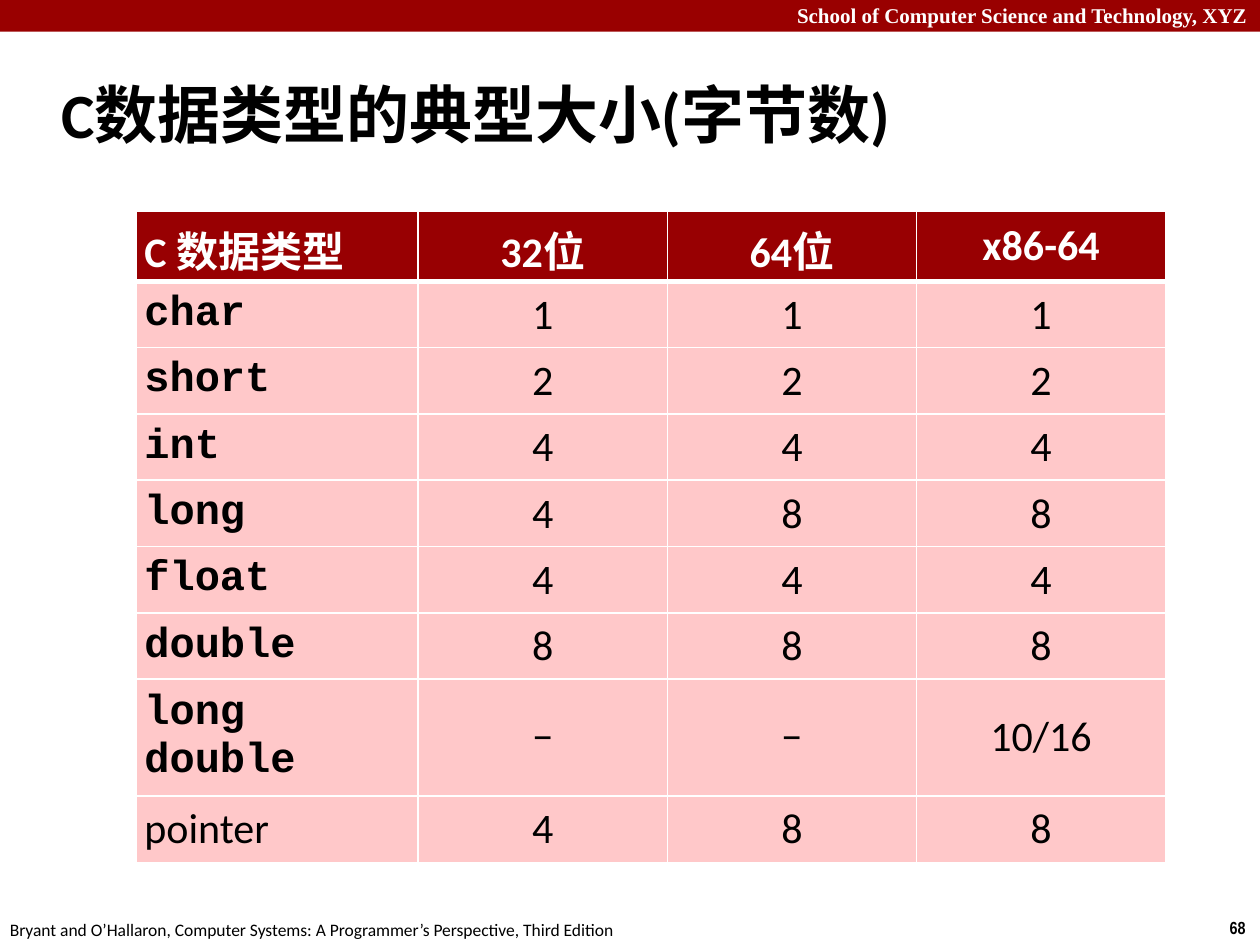
import pptx
import pptx.dml.color
import pptx.enum.shapes
import pptx.enum.text
import pptx.oxml
import pptx.oxml.ns
import pptx.util

Cm, Pt = pptx.util.Cm, pptx.util.Pt
ALIGN = pptx.enum.text.PP_ALIGN
MIDDLE = pptx.enum.text.MSO_ANCHOR.MIDDLE

WHITE, BLACK, RED, DARK_RED, PINK = "FFFFFF", "000000", "990000", "980002", "FFC8C9"

HEADER = ["C 数据类型", "32位", "64位", "x86-64"]
SIZES = [
    ["char", "1", "1", "1"],
    ["short", "2", "2", "2"],
    ["int", "4", "4", "4"],
    ["long", "4", "8", "8"],
    ["float", "4", "4", "4"],
    ["double", "8", "8", "8"],
    ["long double", "−", "−", "10/16"],
    ["pointer", "4", "8", "8"],
]


def rgb(color):
    return pptx.dml.color.RGBColor.from_string(color)


def write(tf, text, size, color=BLACK, align=ALIGN.LEFT, **font):
    p = tf.paragraphs[0]
    p.alignment = align
    r = p.add_run()
    r.text = text
    r.font.color.rgb = rgb(color)
    for name, value in {"name": "Calibri", "size": Pt(size), "bold": False, **font}.items():
        setattr(r.font, name, value)
    return p


def add_text(slide, box, text, size, wrap=True, anchor=None, **style):
    tf = slide.shapes.add_textbox(*map(Cm, box)).text_frame
    tf.word_wrap = wrap
    tf.vertical_anchor = anchor
    return write(tf, text, size, **style)


def add_banner(slide, left, top, width, height):
    sp = slide.shapes.add_shape(pptx.enum.shapes.MSO_SHAPE.RECTANGLE,
                                *map(Cm, (left, top, width, height)))
    sp.shadow.inherit = False
    sp.fill.solid()
    sp.fill.fore_color.rgb = rgb(RED)
    sp.line.fill.background()
    add_text(slide, (left, top - 0.08, width, height + 0.12),
             "School of Computer Science and Technology, XYZ", 12,
             color=WHITE, align=ALIGN.RIGHT, name="Times New Roman", bold=True)


def add_title(slide, *box):
    p = add_text(slide, box, "C数据类型的典型大小(字节数)", 36, anchor=MIDDLE, bold=True)
    pPr = p._p.get_or_add_pPr()
    pPr.set("marL", str(Cm(0.33)))
    pPr.set("indent", str(-Cm(0.33)))


def add_footer(slide, left, top, width, height):
    add_text(slide, (left - 0.05, top + 0.05, 12.9, height),
             "Bryant and O’Hallaron, Computer Systems: A Programmer’s Perspective, Third Edition",
             10, wrap=False)
    add_text(slide, (left + width - 0.86, top, 0.86, height), "68", 10, wrap=False,
             name="Arial Narrow", bold=True)


def set_borders(cell, **widths):
    tcPr = cell._tc.get_or_add_tcPr()
    for side in "LRTB":
        tcPr.append(pptx.oxml.parse_xml(
            f'<a:ln{side} {pptx.oxml.ns.nsdecls("a")} w="{Pt(widths.get(side, 1))}">'
            f'<a:solidFill><a:srgbClr val="{WHITE}"/></a:solidFill></a:ln{side}>'))


def add_size_table(slide, left, top, width, height):
    rows = [HEADER] + SIZES
    table = slide.shapes.add_table(len(rows), len(HEADER),
                                   *map(Cm, (left, top, width, height))).table
    type_width, header_height = 5.68, 1.42
    for i, col in enumerate(table.columns):
        col.width = Cm((width - type_width) / (len(HEADER) - 1) if i else type_width)
    for i, row in enumerate(table.rows):
        row.height = Cm((height - header_height) / len(SIZES) if i else header_height)

    cell_format = {f"margin_{side}": Cm(0.16) for side in ("left", "right", "top", "bottom")}
    cell_format["vertical_anchor"] = MIDDLE
    for i, row in enumerate(rows):
        for j, text in enumerate(row):
            cell = table.cell(i, j)
            for name, value in cell_format.items():
                setattr(cell, name, value)
            is_header = i == 0
            is_keyword = j == 0 and not is_header and text != "pointer"
            set_borders(cell, **({"B": 3} if is_header else {"T": 3} if i == 1 else {}))
            cell.fill.solid()
            cell.fill.fore_color.rgb = rgb(DARK_RED if is_header else PINK)
            write(cell.text_frame, text, 24,
                  color=WHITE if is_header else BLACK,
                  align=ALIGN.CENTER if j else ALIGN.LEFT,
                  name="Courier New" if is_keyword else "Calibri",
                  bold=is_header or is_keyword)


def main():
    prs = pptx.Presentation()
    prs.slide_width, prs.slide_height = Cm(25.4), Cm(19.05)
    slide = prs.slides.add_slide(prs.slide_layouts[6])
    add_banner(slide, 0, 0, 25.4, 0.64)
    add_footer(slide, 0, 18.36, 25.4, 0.69)
    add_title(slide, 0.99, 1.22, 24.41, 2.11)
    add_size_table(slide, 2.75, 4.25, 20.75, 11.6)
    prs.save("out.pptx")


if __name__ == "__main__":
    main()
